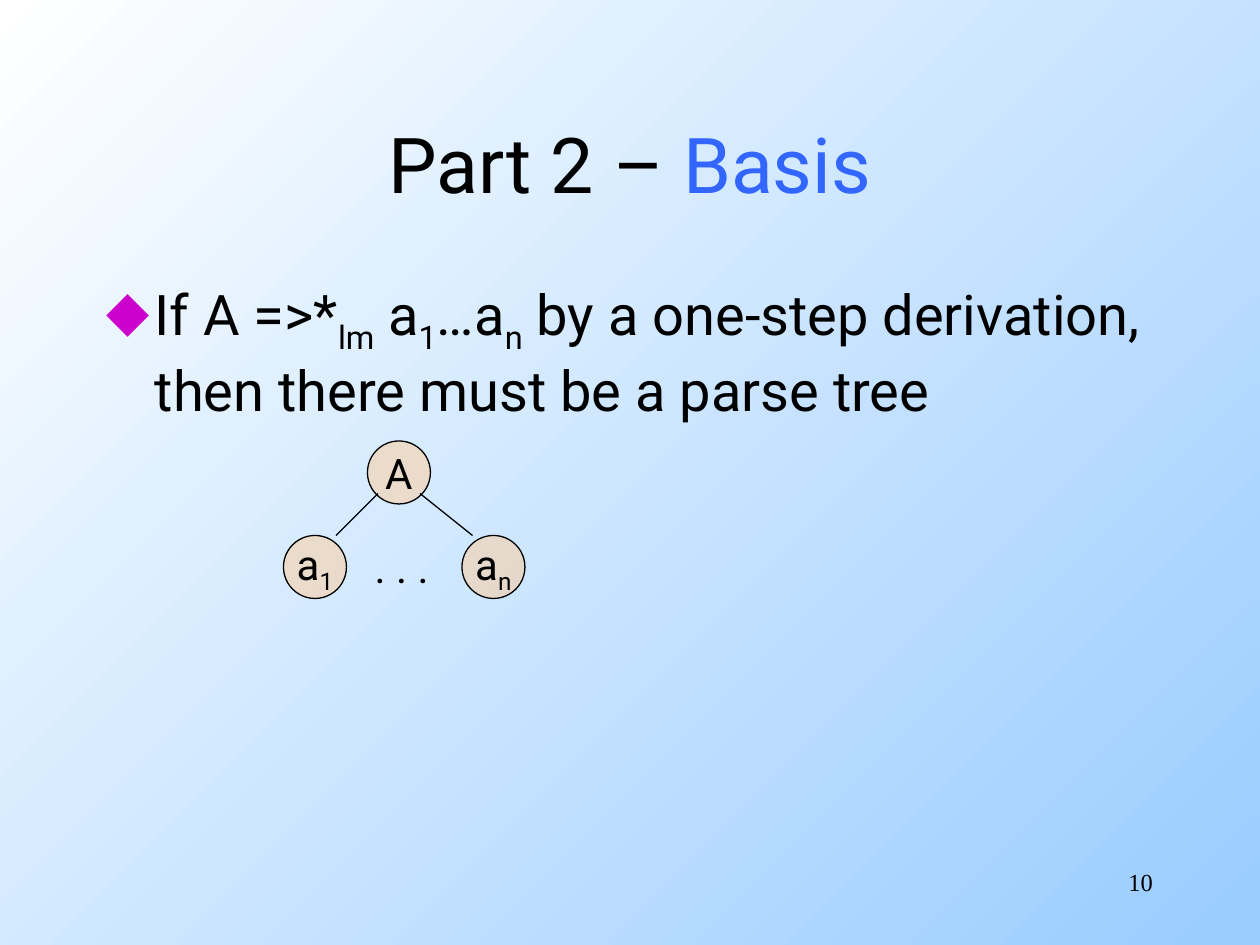
from lxml import etree
from pptx import Presentation, util as u
from pptx.dml.color import RGBColor
from pptx.enum import shapes, text
from pptx.oxml.ns import qn

HUES = {"ink": "000000", "blue": "3366FF", "mark": "CC00CC",
        "node": "FFCC99", "top": "FFFFFF", "base": "99CCFF"}
COLS, ROWS = 120, 90  # twelve cells to the inch
LEFT, RIGHT = text.PP_ALIGN.LEFT, text.PP_ALIGN.RIGHT
MID = text.PP_ALIGN.CENTER


def hue(name):
    return RGBColor.from_string(HUES[name])


def add(node, tag, **vals):
    return etree.SubElement(node, qn(tag), vals)


class Deck:
    face = "Roboto"

    def __init__(self):
        self.prs = Presentation()
        self.prs.slide_width, self.prs.slide_height = u.Inches(10), u.Inches(7.5)
        self.slide = self.prs.slides.add_slide(self.prs.slide_layouts[5])

    def grid(self, *cells):
        steps = (self.prs.slide_width / COLS, self.prs.slide_height / ROWS)
        return [round(cell * steps[i % 2]) for i, cell in enumerate(cells)]

    def back(self, *names):
        fill = self.slide.background.fill
        fill.gradient()
        fill.gradient_angle = 315
        for stop, name, pos in zip(fill.gradient_stops, names, (0, 1)):
            stop.color.rgb, stop.position = hue(name), pos

    def words(self, shape, runs, size, align=LEFT, face=None, **form):
        """Each run is its wording, then optionally "sub" or a colour name."""
        frame = shape.text_frame
        look = {"word_wrap": True, "auto_size": text.MSO_AUTO_SIZE.NONE,
                "vertical_anchor": text.MSO_ANCHOR.TOP, **form}
        for key, val in look.items():
            setattr(frame, key, val)
        para = frame.paragraphs[0]
        para.alignment = align
        for word, *kind in runs:
            run = para.add_run()
            run.text = word
            for key, val in {"size": u.Pt(size), "name": face or self.face}.items():
                setattr(run.font, key, val)
            sub = kind == ["sub"]
            run.font.color.rgb = hue(kind[0] if kind and not sub else "ink")
            if sub:
                run._r.get_or_add_rPr().set("baseline", "-25000")
        return para

    def title(self, area, runs):
        shape = self.slide.shapes.title
        for key, val in zip(("left", "top", "width", "height"), self.grid(*area)):
            setattr(shape, key, val)
        self.words(shape, runs, 44, MID, vertical_anchor=text.MSO_ANCHOR.MIDDLE)

    def label(self, area, runs, size, **form):
        box = self.slide.shapes.add_textbox(*self.grid(*area))
        return self.words(box, runs, size, **form)

    def point(self, area, runs):
        props = self.label(area, runs, 32)._p.get_or_add_pPr()
        dent = u.Inches(0.38)
        props.set("marL", str(dent))
        props.set("indent", str(-dent))
        add(add(props, "a:buClr"), "a:srgbClr", val=HUES["mark"])
        add(props, "a:buChar", char="◆")

    def node(self, col, row, runs):
        dot = self.slide.shapes.add_shape(shapes.MSO_SHAPE.OVAL,
                                          *self.grid(col, row, 6, 6))
        dot.shadow.inherit = False
        dot.fill.solid()
        dot.fill.fore_color.rgb = hue("node")
        tint = dot._element.spPr.find(qn("a:solidFill"))[0]
        add(tint, "a:alpha", val="50000")
        self.ink(dot.line)
        self.words(dot, runs, 24, MID, word_wrap=False,
                   vertical_anchor=text.MSO_ANCHOR.MIDDLE)

    def edge(self, *ends):
        link = self.slide.shapes.add_connector(shapes.MSO_CONNECTOR.STRAIGHT,
                                               *self.grid(*ends))
        self.ink(link.line)
        add(link._element.spPr, "a:effectLst")

    def ink(self, line):
        line.color.rgb, line.width = hue("ink"), u.Pt(0.75)


def main():
    deck = Deck()
    deck.back("top", "base")

    # Page number
    deck.label((86, 82, 25, 6), [("10",)], 14, align=RIGHT, face="Times New Roman")

    # Title and statement
    deck.title((9, 8, 102, 15), [("Part 2 – ",), ("Basis", "blue")])
    deck.point((9, 26, 102, 54), [
        ("If A =>*",), ("lm", "sub"), (" a",), ("1", "sub"), ("…a",), ("n", "sub"),
        (" by a one-step derivation, then there must be a parse tree",)])

    # Parse tree: root, leaves, gap dots, branches
    deck.node(35, 42, [("A",)])
    for col, sub in ((27, "1"), (44, "n")):
        deck.node(col, 51, [("a",), (sub, "sub")])
    deck.label((34.5, 51, 7.7, 6), [(". . .",)], 24, word_wrap=False)
    for start, end in ((36, 32), (40, 45)):
        deck.edge(start, 47, end, 51)

    deck.prs.save("out.pptx")


if __name__ == "__main__":
    main()
